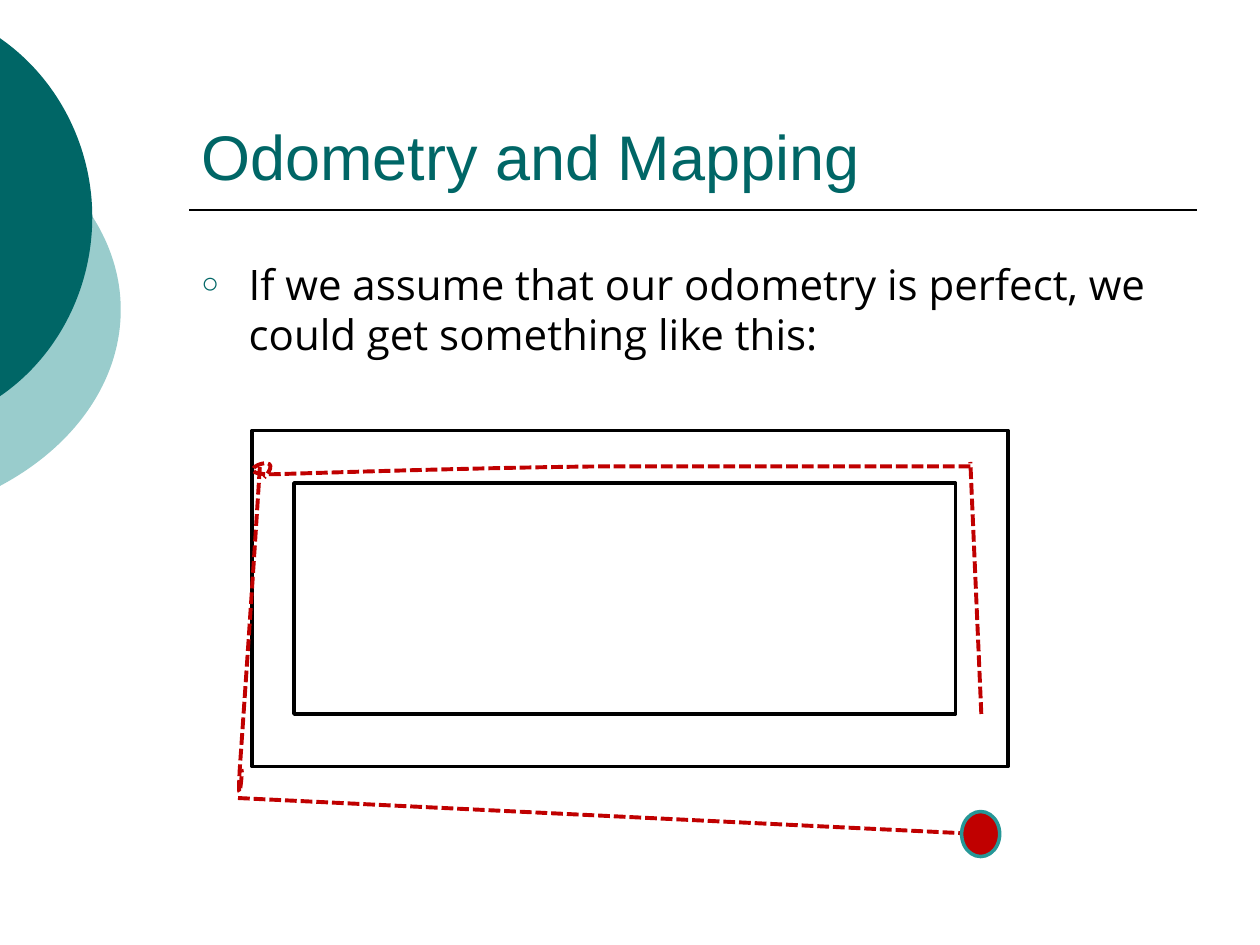
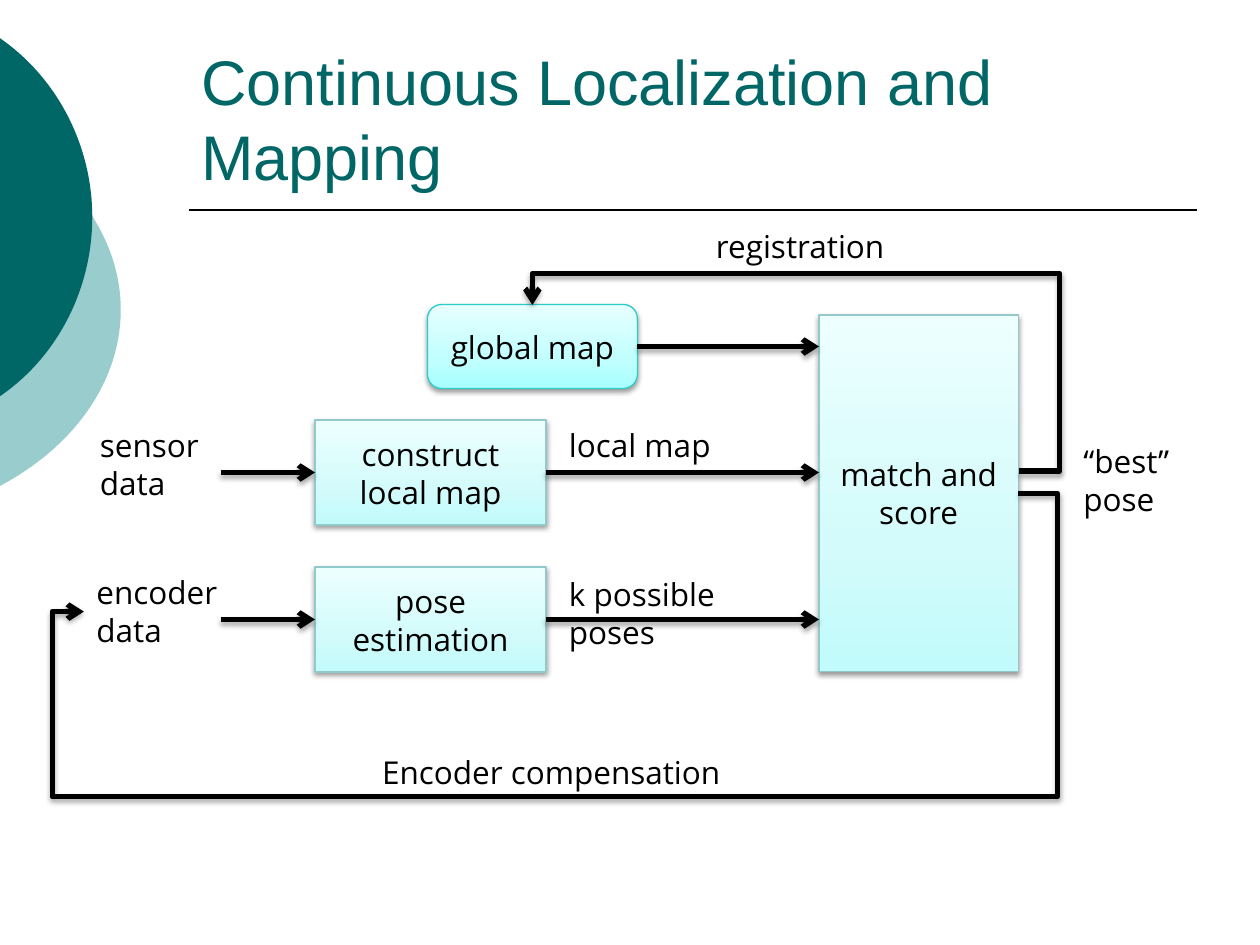
"""Build two slides on robot odometry, localization and mapping."""
import pptx
import pptx.dml.color
import pptx.enum.dml
import pptx.enum.shapes
import pptx.enum.text
import pptx.oxml
import pptx.oxml.ns
import pptx.util

Pt = pptx.util.Pt
RGB = pptx.dml.color.RGBColor
SHAPE = pptx.enum.shapes.MSO_SHAPE
LINK = pptx.enum.shapes.MSO_CONNECTOR
ALIGN = pptx.enum.text.PP_ALIGN
ANCHOR = pptx.enum.text.MSO_ANCHOR
FIT = pptx.enum.text.MSO_AUTO_SIZE
DASH = pptx.enum.dml.MSO_LINE.SQUARE_DOT

TEAL = RGB(0x00, 0x66, 0x66)
PALE = RGB(0x99, 0xCC, 0xCC)
BLACK = RGB(0x00, 0x00, 0x00)
RED = RGB(0xC0, 0x00, 0x00)
RIM = RGB(0x26, 0x97, 0x97)
BOX_EDGE = RGB(0x94, 0xC9, 0xC9)
MAP_EDGE = RGB(0x2E, 0xCB, 0xCB)
BOX_FADE = (RGB(0xC1, 0xFB, 0xFB), RGB(0xD3, 0xFB, 0xFB), RGB(0xED, 0xFF, 0xFF))
MAP_FADE = (RGB(0xA7, 0xFF, 0xFF), RGB(0xC1, 0xFF, 0xFF), RGB(0xE7, 0xFF, 0xFF))
STOPS = (0, 35, 100)
HEAD_FONT = "Arial"
TEXT_FONT = "Open Sans"


def node(tag, inner="", **attrs):
    """Return a drawing element with the given attributes and inner XML."""
    pairs = " ".join(f'{key}="{value}"' for key, value in attrs.items())
    spaces = pptx.oxml.ns.nsdecls("a")
    return pptx.oxml.parse_xml(f"<a:{tag} {spaces} {pairs}>{inner}</a:{tag}>")


def part(shape, tag):
    """Find an element inside the shape properties."""
    return shape.element.spPr.find(".//" + pptx.oxml.ns.qn(tag))


def shade(shape, alpha=0, drop=0):
    """Give a shape a soft shadow below, or none when alpha is zero."""
    inner = ""
    if alpha:
        inner = (f'<a:outerShdw blurRad="{Pt(3.1)}" dist="{Pt(drop)}" dir="5400000" rotWithShape="0">'
                 f'<a:srgbClr val="000000"><a:alpha val="{alpha * 1000}"/></a:srgbClr></a:outerShdw>')
    shape.element.spPr.append(node("effectLst", inner))


def stroke(shape, color, width):
    """Set line colour and width."""
    shape.line.color.rgb = color
    shape.line.width = Pt(width)


def write(shape, text, size=18, font=TEXT_FONT, color=BLACK, anchor=ANCHOR.TOP, align=ALIGN.LEFT):
    """Put one styled paragraph in a shape and return it."""
    frame = shape.text_frame
    frame.word_wrap = True
    frame.text = text
    frame.vertical_anchor = anchor
    line = frame.paragraphs[0]
    line.alignment = align
    for run in line.runs:
        run.font.size = Pt(size)
        run.font.name = font
        run.font.color.rgb = color
    return line


def text_box(slide, left, top, width, height):
    """Add an empty text box."""
    return slide.shapes.add_textbox(Pt(left), Pt(top), Pt(width), Pt(height))


def label(slide, text, left, top, width, height=29):
    """Add a small label that grows with its text."""
    box = text_box(slide, left, top, width, height)
    write(box, text)
    box.text_frame.auto_size = FIT.SHAPE_TO_FIT_TEXT


def bullet(slide, text):
    """Add the body text with a ring bullet."""
    line = write(text_box(slide, 108, 144, 576, 324), text, 24)
    line.space_before = Pt(4.8)
    props = line._p.get_or_add_pPr()
    props.set("marL", str(Pt(27)))
    props.set("indent", str(-Pt(27)))
    props.append(node("buClr", f'<a:srgbClr val="{TEAL}"/>'))
    props.append(node("buSzPct", val=70000))
    props.append(node("buFont", typeface=HEAD_FONT))
    props.append(node("buChar", char="○"))


def plain(slide, kind, left, top, width, height, color, fill=None):
    """Add a flat outlined shape."""
    shape = slide.shapes.add_shape(kind, Pt(left), Pt(top), Pt(width), Pt(height))
    if fill is None:
        shape.fill.background()
    else:
        shape.fill.solid()
        shape.fill.fore_color.rgb = fill
    stroke(shape, color, 2)
    shade(shape)


def block(slide, text, left, top, width, height, kind=SHAPE.RECTANGLE, fade=BOX_FADE, edge=BOX_EDGE):
    """Add a shaded process block with centred text."""
    shape = slide.shapes.add_shape(kind, Pt(left), Pt(top), Pt(width), Pt(height))
    stops = "".join(f'<a:gs pos="{stop * 1000}"><a:srgbClr val="{color}"/></a:gs>'
                    for stop, color in zip(STOPS, fade))
    inner = f'<a:gsLst>{stops}</a:gsLst><a:lin ang="16200000" scaled="0"/>'
    part(shape, "a:prstGeom").addnext(node("gradFill", inner, rotWithShape=1))
    stroke(shape, edge, 0.75)
    shade(shape, 38, 1.6)
    write(shape, text, anchor=ANCHOR.MIDDLE, align=ALIGN.CENTER)


def link(slide, start, end, color=BLACK, width=1, kind=LINK.STRAIGHT):
    """Add a connector from start to end."""
    line = slide.shapes.add_connector(kind, *(Pt(value) for value in (*start, *end)))
    stroke(line, color, width)
    return line


def arrow(slide, start, end, bends=()):
    """Add a thick arrow, with one bend ratio per middle leg."""
    line = link(slide, start, end, width=3, kind=LINK.ELBOW if bends else LINK.STRAIGHT)
    part(line, "a:ln").append(node("tailEnd", type="arrow"))
    shade(line, 35, 1.8)
    if bends:
        form = part(line, "a:prstGeom")
        form.set("prst", f"bentConnector{len(bends) + 2}")
        guides = "".join(f'<a:gd name="adj{place}" fmla="val {round(bend * 100000)}"/>'
                         for place, bend in enumerate(bends, 1))
        for child in list(form):
            form.remove(child)
        form.append(node("avLst", guides))


def outline(slide, box, start, legs, close=False):
    """Add a freeform in a box; a leg is one point, or three for a curve."""
    left, top, width, height = box
    form = slide.shapes.build_freeform(Pt(left), Pt(top))
    form.add_line_segments([(Pt(left + width), Pt(top + height))], close=False)
    shape = form.convert_to_shape()
    trace = part(shape, "a:path")
    for child in list(trace):
        trace.remove(child)
    tags = {1: "lnTo", 3: "cubicBezTo"}
    for tag, leg in [("moveTo", [start])] + [(tags[len(leg)], leg) for leg in legs]:
        trace.append(node(tag, "".join(f'<a:pt x="{Pt(x - left)}" y="{Pt(y - top)}"/>'
                                       for x, y in leg)))
    if close:
        trace.append(node("close"))
    shade(shape)
    return shape


def disc(slide, box, start, legs, color):
    """Add one of the cut discs at the left edge."""
    shape = outline(slide, box, start, legs, True)
    shape.fill.solid()
    shape.fill.fore_color.rgb = color
    shape.line.fill.background()


def trail(slide, box, start, legs):
    """Add a dashed red stretch of the robot's track."""
    shape = outline(slide, box, start, legs)
    shape.fill.background()
    stroke(shape, RED, 2.25)
    shape.line.dash_style = DASH


def start_slide(deck, title):
    """Add a slide with the shared discs, rule and title."""
    slide = deck.slides.add_slide(deck.slide_layouts[6])
    disc(slide, (-255, 54, 324, 246), (-0.5, 76.5),
         [[(43, 99.5), (69, 137), (69, 177)], [(69, 217.5), (43, 255), (-0.5, 278)]], PALE)
    disc(slide, (-191, 0, 243.5, 248.5), (-0.5, 21.5),
         [[(33, 44.5), (52.75, 83.5), (52.75, 124)], [(52.75, 165), (33, 204), (-0.5, 226.75)]], TEAL)
    shade(link(slide, (108, 120), (684, 120)))
    write(text_box(slide, 108, 24, 576, 90), title, 36, HEAD_FONT, TEAL, ANCHOR.BOTTOM)
    return slide


def draw_track(deck):
    """Draw the hallway and the drifting track."""
    slide = start_slide(deck, "Odometry and Mapping")
    bullet(slide, "If we assume that our odometry is perfect, we could get something like this:")
    plain(slide, SHAPE.RECTANGLE, 144, 246, 432, 192, BLACK)
    plain(slide, SHAPE.RECTANGLE, 168, 276, 378, 132, BLACK)
    side = link(slide, (560.75, 408), (554.5, 264), RED, 2.25)
    side.line.dash_style = DASH
    shade(side)
    trail(slide, (144.75, 265, 409.75, 8.5), (554.5, 266.5),
          [[(350, 266.5)], [(283.5, 267), (191, 270), (157.5, 271)],
           [(124.5, 272), (166.5, 255), (151, 273)]])
    trail(slide, (136.75, 267, 12, 185), (148.5, 267),
          [[(144, 339), (139, 411), (137, 440)], [(135.5, 469), (139, 439), (138, 440)]])
    trail(slide, (136, 456, 422, 20.5), (136, 456), [[(558, 476.5)]])
    plain(slide, SHAPE.OVAL, 549.5, 463.75, 21.75, 25.75, RIM, RED)


def draw_loop(deck):
    """Draw the localization and mapping loop."""
    slide = start_slide(deck, "Continuous Localization and Mapping")
    for top, text in ((240, "construct local map"), (324, "pose estimation")):
        block(slide, text, 180, top, 132, 60)
    block(slide, "match and score", 468, 180, 114, 203.75)
    block(slide, "global map", 244.25, 174, 120, 48, SHAPE.ROUNDED_RECTANGLE, MAP_FADE, MAP_EDGE)
    for y in (270, 354):
        arrow(slide, (312, y), (468, y))
        arrow(slide, (126, y), (180, y))
    arrow(slide, (364.25, 198), (468, 198))
    arrow(slide, (582.25, 269.25), (304.25, 174.25), (-0.084, 1.189))
    arrow(slide, (582, 282), (48, 349.5), (-0.042, 2.568, 1.034))
    label(slide, "sensor data", 50, 240, 76, 51)
    label(slide, "encoder data", 48, 324, 90, 51)
    label(slide, "local map", 318, 240, 96)
    label(slide, "k possible poses", 318, 325, 138)
    label(slide, "“best” pose", 612, 249, 72, 51)
    label(slide, "registration", 402, 126, 132)
    label(slide, "Encoder compensation", 211.25, 427, 227)


def main():
    """Build and save the deck."""
    deck = pptx.Presentation()
    deck.slide_width, deck.slide_height = Pt(720), Pt(540)
    draw_track(deck)
    draw_loop(deck)
    deck.save("out.pptx")


main()
